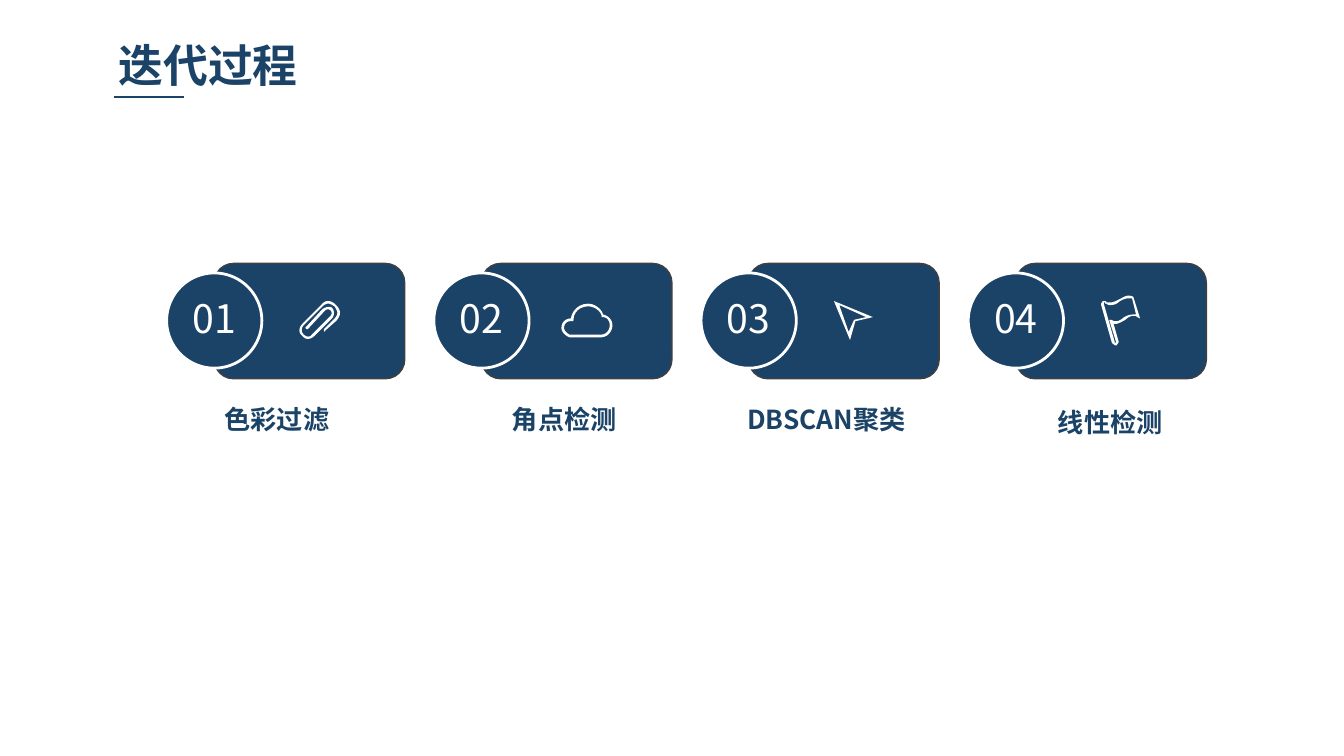
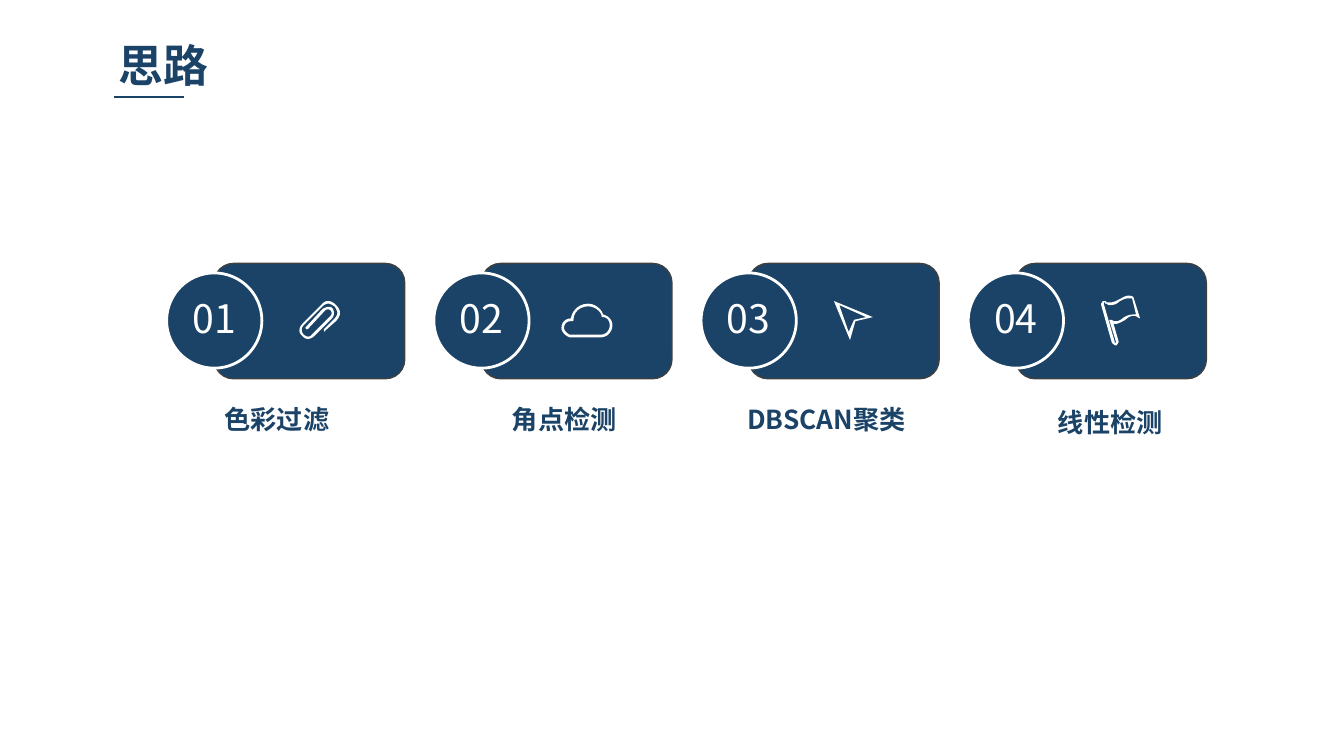
from dataclasses import dataclass

import pptx
import pptx.dml.color
import pptx.enum.shapes
import pptx.enum.text
import pptx.oxml.ns
import pptx.shapes.autoshape
import pptx.shapes.shapetree
import pptx.slide
import pptx.util
from lxml import etree

Cm = pptx.util.Cm
Pt = pptx.util.Pt
RGBColor = pptx.dml.color.RGBColor
Align = pptx.enum.text.PP_ALIGN
Preset = pptx.enum.shapes.MSO_SHAPE

NAVY = RGBColor(0x1B, 0x43, 0x67)
WHITE = RGBColor(0xFF, 0xFF, 0xFF)
GREY = RGBColor(0x40, 0x40, 0x40)
FONT = "Noto Sans CJK SC"

FIRST_LEFT, STEP_PITCH = 3.15, 5.05
CARD_OFFSET, CARD_TOP, CARD_WIDTH, CARD_HEIGHT = 0.9, 4.98, 3.6, 2.18
DISC_TOP, DISC_SIZE = 5.16, 1.8
LABEL_HEIGHT = 0.78
ICON_UNIT = Cm(2.54) / 100
CURVE_PIECES = 6

PAPERCLIP = """
M 28 3 C 26 1 24 0 22 0 C 19 0 17 3 17 3 L 3 17 C 0 20 0 24 3 26 C 5 29 9 29 12 26
L 25 13 C 27 11 27 7 25 5 C 24 4 21 4 18 6 L 6 19 C 5 20 5 20 6 21 L 7 21 L 20 7
C 21 6 23 6 24 7 C 25 8 25 10 24 11 L 10 25 C 9 27 6 27 4 25 C 2 23 2 20 4 18
L 18 4 C 18 4 20 2 22 2 C 24 2 25 3 27 4 C 28 6 29 7 29 9 C 29 11 27 13 27 13
L 19 21 L 19 22 C 19 23 20 23 20 22 L 28 15 C 28 15 31 12 31 9 C 31 7 30 5 28 3
"""
CLOUD = """
M 30 25 L 6 25 C 3 24 0 21 0 18 C 0 14 3 11 7 11 C 8 5 13 0 20 0 C 25 0 30 4 31 8
C 35 9 38 12 38 16 C 38 21 34 25 30 25
M 6 23 L 30 23 C 33 23 36 20 36 16 C 36 13 34 10 31 10 L 30 10 L 30 9
C 29 5 24 2 20 2 C 14 2 9 6 9 12 L 9 13 L 7 13 C 4 13 2 15 2 18 C 2 20 4 22 6 23
"""
POINTER = """
M 12 29 L 0 0 L 29 12 L 16 15 L 12 29
M 4 3 L 11 23 L 15 14 L 24 12 L 4 3
"""
FLAG = """
M 11 37 C 10 37 9 36 8 35 L 0 7 C 0 6 0 5 1 5 C 1 4 1 4 2 4 C 3 4 4 4 4 5
C 5 5 6 5 7 5 C 9 5 11 4 13 3 C 15 2 18 0 20 0 C 21 0 23 0 24 1 L 29 17 L 27 16
C 26 15 25 15 24 15 C 22 15 20 16 18 18 C 16 19 13 21 11 21 C 10 21 9 21 9 20
L 13 34 C 13 35 13 35 12 36 C 12 36 12 37 11 37
M 2 5 L 2 6 L 10 34 C 10 35 10 35 11 35 L 11 34 L 6 18 L 8 18 C 9 19 10 19 11 19
C 13 19 15 18 17 16 C 19 15 21 14 24 14 L 26 14 L 23 2 C 22 2 21 2 20 2
C 18 2 16 3 14 4 C 12 6 10 7 7 7 C 6 7 5 7 4 6 L 3 6 C 3 5 3 5 2 5
"""


@dataclass(frozen=True)
class Step:
    """One stage of the process; lengths are in centimetres."""

    label: str
    label_left: float
    label_width: float
    icon: str
    icon_offset: float
    icon_top: float
    label_top: float = 7.52


STEPS = (
    Step("色彩过滤", 4.04, 2.39, PAPERCLIP, 2.49, 5.69),
    Step("角点检测", 9.47, 2.39, CLOUD, 2.41, 5.74),
    Step("DBSCAN聚类", 13.84, 3.56, POINTER, 2.51, 5.69),
    Step("线性检测", 19.79, 2.39, FLAG, 2.51, 5.59, label_top=7.59),
)
TITLES = ("迭代过程", "思路")


def write_text(
    shape: pptx.shapes.autoshape.Shape,
    text: str,
    *,
    size: float,
    color: RGBColor,
    bold: bool = False,
    align: Align = Align.LEFT,
    wrap: bool = False,
    margins: tuple[float, float] = (0.18, 0.1),
) -> None:
    frame = shape.text_frame
    frame.word_wrap = wrap
    frame.margin_left = frame.margin_right = Cm(margins[0])
    frame.margin_top = frame.margin_bottom = Cm(margins[1])
    para = frame.paragraphs[0]
    para.alignment = align
    span = para.add_run()
    span.text = text
    span.font.size = Pt(size)
    span.font.bold = bold
    span.font.color.rgb = color
    span.font.name = FONT
    properties = span._r.get_or_add_rPr()
    etree.SubElement(properties, pptx.oxml.ns.qn("a:ea"), typeface=FONT)


def add_text_box(
    page: pptx.slide.Slide,
    text: str,
    left: float,
    top: float,
    width: float,
    height: float,
    *,
    size: float,
    align: Align = Align.LEFT,
    wrap: bool = False,
) -> None:
    box = page.shapes.add_textbox(Cm(left), Cm(top), Cm(width), Cm(height))
    write_text(box, text, size=size, color=NAVY, bold=True, align=align, wrap=wrap)
    box.text_frame.auto_size = pptx.enum.text.MSO_AUTO_SIZE.SHAPE_TO_FIT_TEXT


def add_navy_shape(
    shapes: pptx.shapes.shapetree.GroupShapes,
    preset: Preset,
    left: float,
    top: float,
    width: float,
    height: float,
    *,
    line_color: RGBColor,
    line_width: float,
) -> pptx.shapes.autoshape.Shape:
    shape = shapes.add_shape(preset, Cm(left), Cm(top), Cm(width), Cm(height))
    shape.shadow.inherit = False
    shape.fill.solid()
    shape.fill.fore_color.rgb = NAVY
    shape.line.color.rgb = line_color
    shape.line.width = Pt(line_width)
    return shape


def trace_outline(outline: str) -> list[list[tuple[float, float]]]:
    """Turn M, L and C commands into closed contours, with curves as short lines."""
    contours: list[list[tuple[float, float]]] = []
    tokens = iter(outline.split())
    for command in tokens:
        count = 3 if command == "C" else 1
        points = [(float(next(tokens)), float(next(tokens))) for _ in range(count)]
        if command == "M":
            contours.append(points)
        elif command == "L":
            contours[-1] += points
        else:
            corners = [contours[-1][-1], *points]
            for piece in range(1, CURVE_PIECES + 1):
                t = piece / CURVE_PIECES
                weights = ((1 - t) ** 3, 3 * t * (1 - t) ** 2, 3 * t**2 * (1 - t), t**3)
                x = sum(w * corner[0] for w, corner in zip(weights, corners))
                y = sum(w * corner[1] for w, corner in zip(weights, corners))
                contours[-1].append((x, y))
    return contours


def add_icon(
    shapes: pptx.shapes.shapetree.GroupShapes, outline: str, left: float, top: float
) -> None:
    contours = [
        [(Cm(left) + x * ICON_UNIT, Cm(top) + y * ICON_UNIT) for x, y in contour]
        for contour in trace_outline(outline)
    ]
    builder = shapes.build_freeform(*contours[0][0])
    builder.add_line_segments(contours[0][1:], close=True)
    for contour in contours[1:]:
        builder.move_to(*contour[0])
        builder.add_line_segments(contour[1:], close=True)
    icon = builder.convert_to_shape()
    icon.shadow.inherit = False
    icon.fill.solid()
    icon.fill.fore_color.rgb = WHITE
    icon.line.fill.background()


def add_step(page: pptx.slide.Slide, index: int, step: Step) -> None:
    left = FIRST_LEFT + index * STEP_PITCH
    shapes = page.shapes.add_group_shape().shapes
    add_navy_shape(
        shapes, Preset.ROUNDED_RECTANGLE, left + CARD_OFFSET, CARD_TOP,
        CARD_WIDTH, CARD_HEIGHT, line_color=GREY, line_width=0.75,
    )
    disc = add_navy_shape(
        shapes, Preset.OVAL, left, DISC_TOP, DISC_SIZE, DISC_SIZE,
        line_color=WHITE, line_width=1.5,
    )
    write_text(
        disc, f"{index + 1:02}", size=21, color=WHITE, align=Align.CENTER, margins=(0, 0)
    )
    disc.text_frame.vertical_anchor = pptx.enum.text.MSO_ANCHOR.MIDDLE
    disc.text_frame.paragraphs[0].line_spacing = 0.9
    add_icon(shapes, step.icon, left + step.icon_offset, step.icon_top)
    add_text_box(
        page, step.label, step.label_left, step.label_top,
        step.label_width, LABEL_HEIGHT, size=14, align=Align.CENTER,
    )


def add_title(page: pptx.slide.Slide, title: str) -> None:
    add_text_box(page, title, 2.06, 0.61, 6.27, 1.22, size=24, wrap=True)
    rule = page.shapes.add_connector(
        pptx.enum.shapes.MSO_CONNECTOR.STRAIGHT, Cm(2.16), Cm(1.83), Cm(3.48), Cm(1.83)
    )
    rule.line.color.rgb = NAVY
    rule.line.width = Pt(0.75)
    etree.SubElement(rule._element.spPr, pptx.oxml.ns.qn("a:effectLst"))


def main() -> None:
    deck = pptx.Presentation()
    deck.slide_width, deck.slide_height = Cm(25.4), Cm(14.29)
    for title in TITLES:
        page = deck.slides.add_slide(deck.slide_layouts[6])
        add_title(page, title)
        for index, step in enumerate(STEPS):
            add_step(page, index, step)
    deck.save("out.pptx")


if __name__ == "__main__":
    main()
